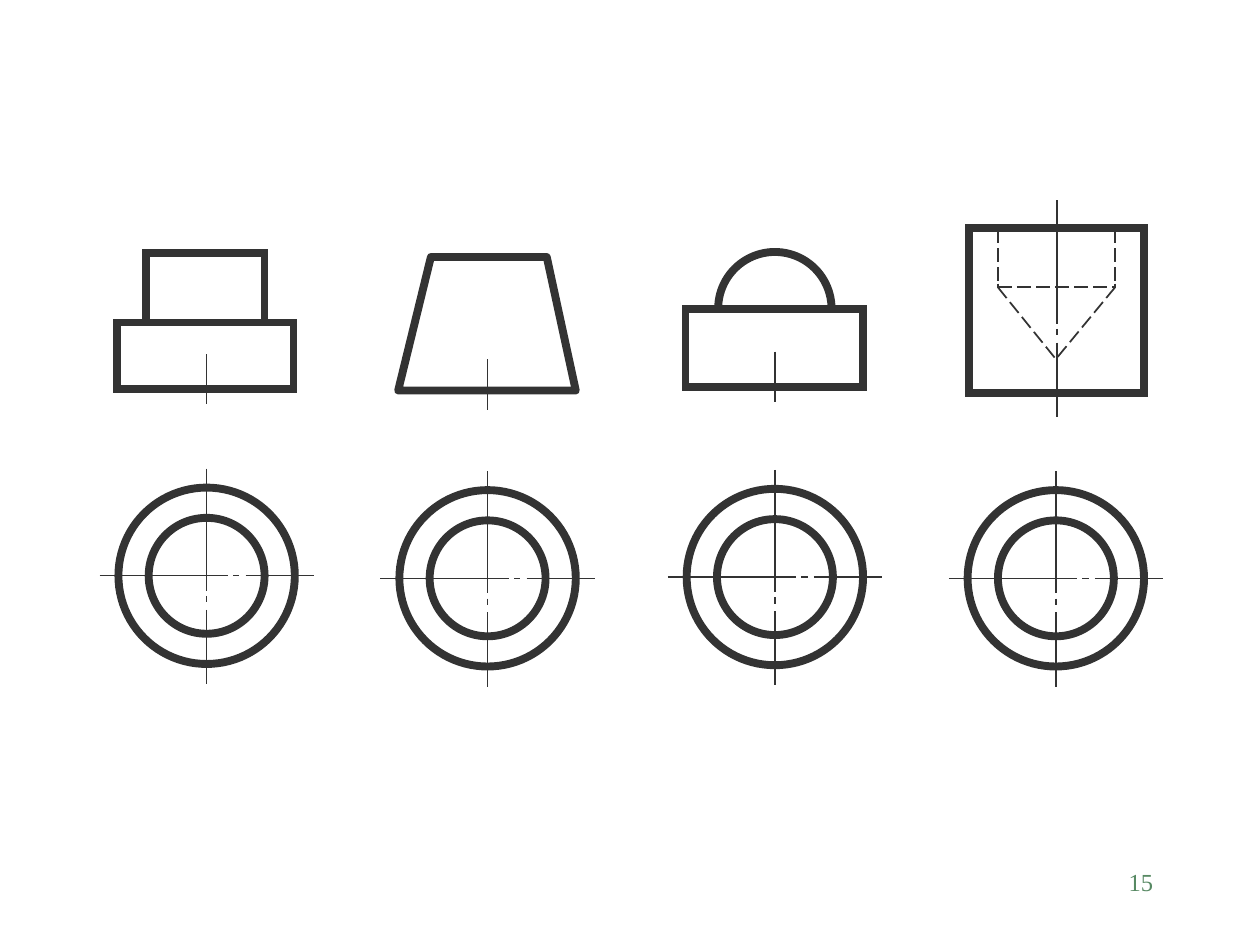
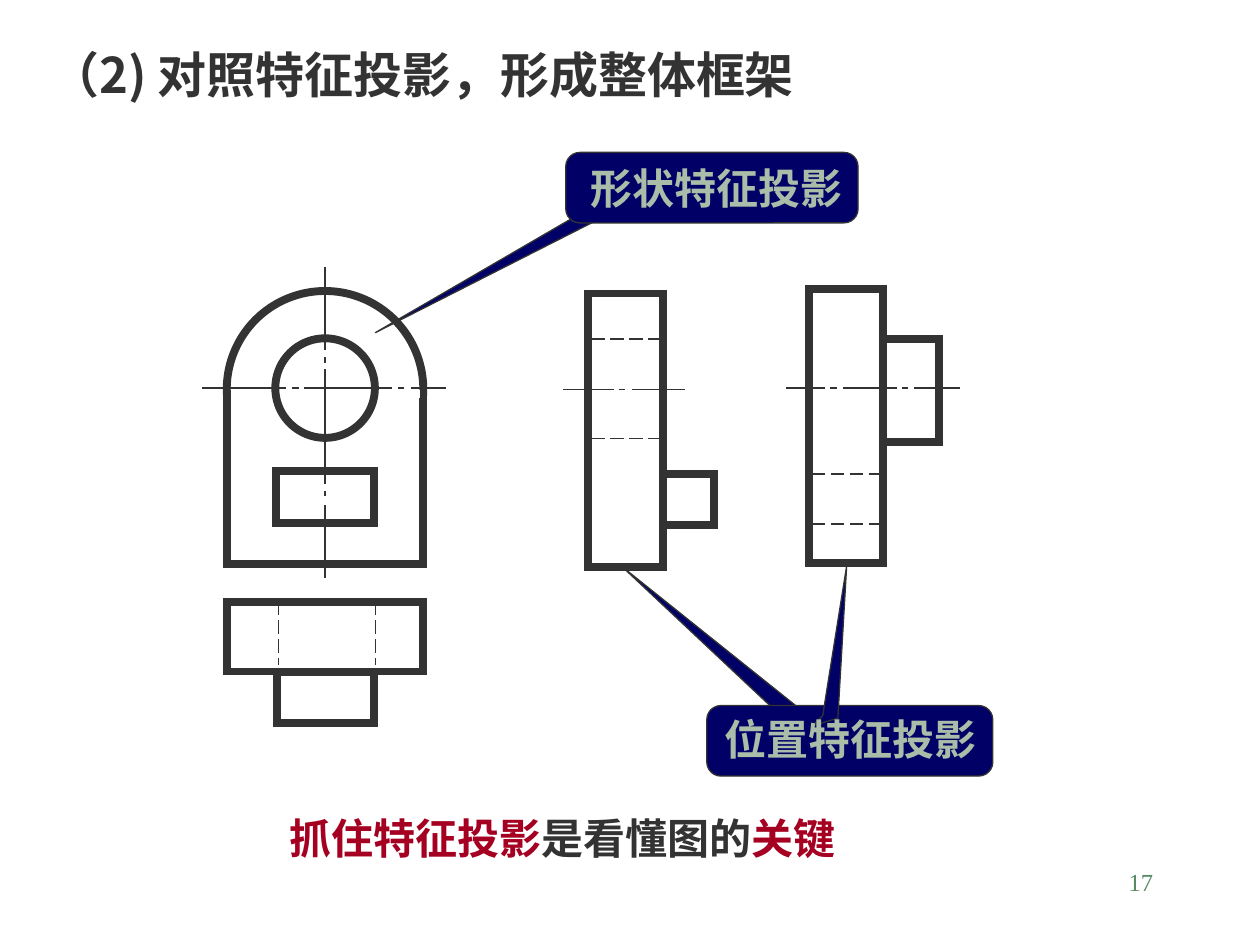
from dataclasses import dataclass

from lxml.etree import SubElement
from pptx import Presentation
from pptx.dml.color import RGBColor
from pptx.enum.dml import MSO_LINE_DASH_STYLE as Dash
from pptx.enum.shapes import MSO_CONNECTOR as Link, MSO_SHAPE as Form
from pptx.enum.text import MSO_ANCHOR as Anchor, MSO_AUTO_SIZE as Fit, PP_ALIGN as Align
from pptx.oxml.ns import qn
from pptx.util import Inches, Pt


@dataclass(frozen=True)
class Theme:
    ink: str = "333333"
    paper: str = "FFFFFF"
    navy: str = "000066"
    sage: str = "A9BDA9"
    green: str = "578963"
    red: str = "A50021"
    serif: str = "Times New Roman"
    sans: str = "Noto Sans CJK SC"
    head: float = 28
    body: float = 24
    foot: float = 14
    bold: float = 4.5
    thin: float = 0.75
    dash: float = 1
    tick: float = 1.5


COLS, ROWS = 100, 75
# Ends of the strokes of a centre line, measured from the centre of a top view
ACROSS = (-8.5, 1.7, 2.1, 2.6, 3.1, 8.5)
DOWN = (-8.5, 1.2, 1.6, 2.1, 2.7, 8.6)


class Sheet:
    """Draws on the current slide; lengths are columns and rows of the grid."""

    def __init__(self, deck, theme):
        self.deck, self.theme = deck, theme
        self.col = deck.slide_width / COLS
        self.row = deck.slide_height / ROWS
        self.slide = None

    def new(self, layout, page):
        self.slide = self.deck.slides.add_slide(self.deck.slide_layouts[layout])
        t = self.theme
        self.text((71.7, 68.3, 20.8, 5), [(str(page), t.green)], t.foot,
                  t.serif, Align.RIGHT, Anchor.TOP, False)

    def emu(self, *spot):
        """Turn alternating columns and rows into lengths."""
        return [round(v * (self.row if i % 2 else self.col)) for i, v in enumerate(spot)]

    def paint(self, shape, fill, width, sharp=False):
        shape.shadow.inherit = False
        shape.fill.solid()
        shape.fill.fore_color.rgb = RGBColor.from_string(fill)
        shape.line.color.rgb = RGBColor.from_string(self.theme.ink)
        shape.line.width = Pt(width)
        if sharp:
            edge = shape._element.spPr.find(qn("a:ln"))
            SubElement(edge, qn("a:miter")).set("lim", "800000")

    def box(self, x, y, w, h):
        shape = self.slide.shapes.add_shape(Form.RECTANGLE, *self.emu(x, y, w, h))
        self.paint(shape, self.theme.paper, self.theme.bold, sharp=True)

    def disc(self, x, y, r):
        spot = self.emu(x - r, y - r, 2 * r, 2 * r)
        shape = self.slide.shapes.add_shape(Form.OVAL, *spot)
        self.paint(shape, self.theme.paper, self.theme.bold)

    def poly(self, points, fill, width):
        first, *rest = [self.emu(*p) for p in points]
        pen = self.slide.shapes.build_freeform(*first)
        pen.add_line_segments(rest, close=True)
        self.paint(pen.convert_to_shape(), fill, width)

    def rule(self, ends, width, color=None, dash=None):
        line = self.slide.shapes.add_connector(Link.STRAIGHT, *self.emu(*ends))
        line.line.color.rgb = RGBColor.from_string(color or self.theme.ink)
        line.line.width = Pt(width)
        if dash:
            line.line.dash_style = dash
        SubElement(line._element.spPr, qn("a:effectLst"))

    def hidden(self, *ends):
        """Dashed line for an edge out of sight."""
        self.rule(ends, self.theme.dash, dash=Dash.LONG_DASH)

    def flat(self, y, stops):
        """Level centre line, one stroke per pair of stops."""
        for a, b in zip(stops[::2], stops[1::2]):
            self.rule((a, y, b, y), self.theme.thin)

    def plumb(self, x, stops):
        """Upright centre line, one stroke per pair of stops."""
        for a, b in zip(stops[::2], stops[1::2]):
            self.rule((x, a, x, b), self.theme.thin)

    def letter(self, shape, runs, size, face, align, anchor, bold):
        frame = shape.text_frame
        frame.word_wrap = True
        frame.auto_size = Fit.NONE
        frame.vertical_anchor = anchor
        para = frame.paragraphs[0]
        para.alignment = align
        for words, color in runs:
            run = para.add_run()
            run.text = words
            font = run.font
            font.size, font.bold, font.name = Pt(size), bold, face
            font.color.rgb = RGBColor.from_string(color)
            SubElement(run._r.get_or_add_rPr(), qn("a:ea")).set("typeface", self.theme.sans)

    def text(self, spot, runs, size, face, align=Align.LEFT,
             anchor=Anchor.MIDDLE, bold=True):
        shape = self.slide.shapes.add_textbox(*self.emu(*spot))
        self.letter(shape, runs, size, face, align, anchor, bold)

    def title(self, spot, words):
        shape, t = self.slide.shapes.title, self.theme
        shape.left, shape.top, shape.width, shape.height = self.emu(*spot)
        self.letter(shape, [(words, t.ink)], t.head, t.sans, Align.LEFT, Anchor.MIDDLE, True)

    def wedge(self, *points):
        self.poly(points, self.theme.navy, self.theme.thin)

    def plate(self, x, y, w, h):
        shape = self.slide.shapes.add_shape(Form.ROUNDED_RECTANGLE, *self.emu(x, y, w, h))
        shape.adjustments[0] = 0.2
        self.paint(shape, self.theme.navy, self.theme.thin)

    def label(self, spot, words):
        t = self.theme
        self.text(spot, [(words, t.sage)], t.body, t.serif, Align.CENTER)


def top_view(s, x, y):
    for r in (7, 4.6):
        s.disc(x, y, r)
    s.flat(y, [x + d for d in ACROSS])
    s.plumb(x, [y + d for d in DOWN])


def step(s, x):
    s.box(x - 7.1, 25.6, 14, 5.3)
    s.box(x - 4.8, 20.1, 9.4, 5.5)
    s.plumb(x, (28.1, 32.1))


def cone(s, x):
    points = [(x - 4.5, 20.4), (x - 7.1, 31), (x + 7, 31), (x + 4.7, 20.4)]
    s.poly(points, s.theme.paper, s.theme.bold)
    s.plumb(x, (28.5, 32.5))


def dome(s, x):
    s.disc(x, 24.5, 4.5)
    s.box(x - 7.1, 24.5, 14.1, 6.2)
    s.plumb(x, (27.9, 31.9))


def drill(s, x):
    s.box(x - 6.9, 18.1, 13.9, 13.1)
    left, right, rim, tip = x - 4.6, x + 4.7, 22.8, 28.5
    for side in (left, right):
        s.hidden(side, 18.2, side, rim)
        s.hidden(side, rim, x, tip)
        s.rule((side, 22.5, side, rim), s.theme.tick)
    s.hidden(left, rim, right, rim)
    s.plumb(x + 0.1, (15.9, 25.7, 26.1, 26.6, 27.2, 33.1))


def solids(s):
    s.new(6, 15)
    parts = ((step, 16.4, 45.7), (cone, 38.7, 45.9), (dome, 61.5, 45.8), (drill, 83.8, 45.9))
    for front, x, y in parts:
        top_view(s, x, y)
        front(s, x)


def side_views(s):
    s.box(46.7, 23.3, 5.9, 21.7)
    for y in (26.9, 34.8):
        s.hidden(46.9, y, 52.4, y)
    s.box(52.6, 37.6, 4.1, 4.1)
    s.flat(30.9, (44.7, 48.7, 49.1, 49.6, 50.2, 54.4))

    s.box(64.2, 22.9, 5.9, 21.8)
    for y in (37.6, 41.6):
        s.hidden(64.4, y, 70.1, y)
    s.box(70.1, 26.9, 4.4, 8.2)
    s.flat(30.8, (62.4, 65.5, 65.9, 66.4, 66.9, 71.2, 71.6, 72.1, 72.5, 76.2))


def front_view(s):
    x, t = 25.8, s.theme
    s.disc(x, 30.9, 7.8)
    s.box(x - 7.8, 31.3, 15.6, 13.5)
    s.rule((x - 7.5, 31.3, x + 7.5, 31.3), t.bold, t.paper)
    s.disc(x, 30.8, 3.95)
    s.box(x - 3.9, 37.4, 7.8, 4.1)
    s.flat(30.8, (16, 22.7, 23.2, 23.7, 24.1, 31.1, 31.6, 32.1, 32.6, 35.4))
    s.plumb(x, (21.2, 27.8, 28.3, 28.8, 29.3, 38.4, 39, 39.4, 40.1, 45.9))
    # Plan below
    s.box(x - 7.8, 47.8, 15.6, 5.5)
    s.box(x - 3.8, 53.3, 7.7, 4.1)
    for side in (22.1, 29.8):
        s.hidden(side, 47.7, side, 52.8)


def features(s):
    t = s.theme
    s.new(5, 17)
    s.title((3, 3, 73.3, 5.7), "（2) 对照特征投影，形成整体框架")
    side_views(s)
    front_view(s)

    s.wedge((50.1, 16.1), (29.8, 26.4), (47.7, 16))
    s.plate(44.9, 12.1, 23.2, 5.6)
    s.label((42, 12.4, 29.8, 5), "形状特征投影")

    s.wedge((63.4, 56.2), (49.4, 45), (62.6, 57.4))
    s.plate(56.1, 56, 22.7, 5.6)
    s.wedge((66.5, 57), (67.2, 44.9), (65.3, 56.8), (64.5, 57.6))
    s.label((51.4, 56.1, 32.2, 5), "位置特征投影")

    runs = [("抓住特征投影", t.red), ("是看懂图的", t.ink), ("关键", t.red)]
    s.text((22, 64, 61.2, 5), runs, t.body, t.sans)


def main():
    deck = Presentation()
    deck.slide_width, deck.slide_height = Inches(10), Inches(7.5)
    sheet = Sheet(deck, Theme())
    solids(sheet)
    features(sheet)
    deck.save("out.pptx")


if __name__ == "__main__":
    main()
